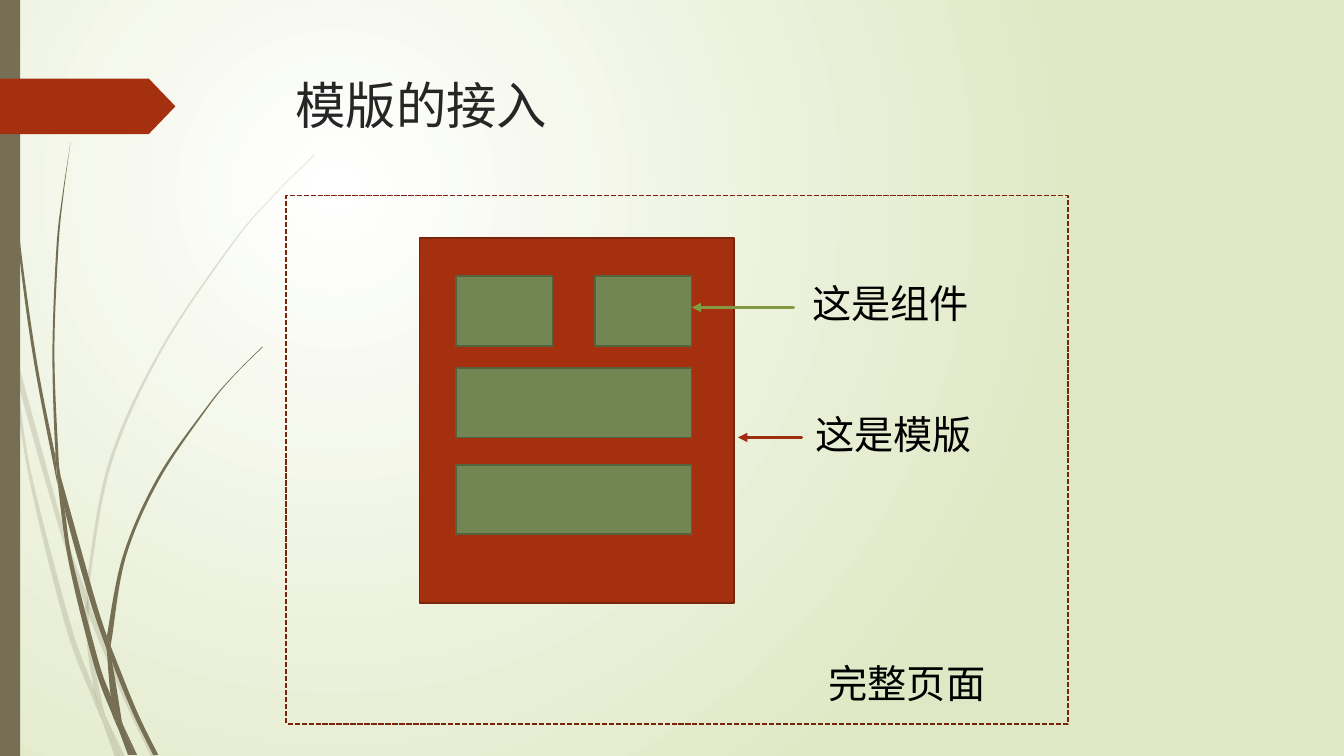
"""Build a slide that shows how a template holds components within a full page."""
from lxml.etree import SubElement
from pptx import Presentation
from pptx.dml.color import RGBColor
from pptx.enum.dml import MSO_LINE
from pptx.enum.shapes import MSO_CONNECTOR, MSO_SHAPE as SHAPE
from pptx.oxml.ns import qn
from pptx.util import Inches, Pt

FONT = "League Spartan"
WHITE = RGBColor(0xFF, 0xFF, 0xFF)
PALE_GREEN = RGBColor(0xDF, 0xE8, 0xC4)
OLIVE = RGBColor(0x76, 0x6F, 0x54)
RED = RGBColor(0xA5, 0x30, 0x10)
DARK_RED = RGBColor(0x7A, 0x24, 0x0C)
ARROW_RED = RGBColor(0x9E, 0x2E, 0x0F)
GREEN = RGBColor(0x72, 0x86, 0x53)
DARK_GREEN = RGBColor(0x54, 0x63, 0x3D)
ARROW_GREEN = RGBColor(0x83, 0x99, 0x43)
BLACK = RGBColor(0, 0, 0)
CHARCOAL = RGBColor(0x26, 0x26, 0x26)

TITLE = ("模版的接入", 2.83, 0.69, 9.75, 1.4)
LABELS = [
    ("这是模版", 7.99, 4.02, 1.92, 0.57),
    ("这是组件", 7.96, 2.72, 1.78, 0.57),
    ("完整页面", 8.12, 6.49, 2.18, 0.57),
]
PAGE = (2.84, 1.94, 7.75, 5.24)
TEMPLATE = (4.16, 2.36, 3.12, 3.62)
COMPONENT_LEFT, COMPONENT_WIDTH, COMPONENT_HEIGHT = 4.52, 2.34, 0.69
SMALL_WIDTH = 0.96
ROWS = [(2.74, 2), (3.65, 1), (4.61, 1)]
ARROWS = [(7.95, 7.32, 4.34, ARROW_RED), (7.87, 6.86, 3.05, ARROW_GREEN)]

PALE_BLADES = [
    ([(0.11, 3.5), (0.09, 3.22), (0, 2.82)], [(0, 2.99), (0.1, 3.44), (0.11, 3.5)]),
    ([(0.14, 3.45), (0.17, 3.76), (0.58, 5.22), (0.84, 5.99)],
     [(0.85, 5.86), (0.62, 5.2), (0.14, 3.45)]),
    ([(0.88, 5.96), (0.88, 6.1), (1.23, 6.94), (1.5, 7.51)],
     [(1.55, 7.51), (1.27, 6.92), (0.92, 6.07), (0.88, 5.96)]),
    ([(1.05, 7.11), (1.19, 7.51)], [(1.24, 7.51), (1.05, 7.11)]),
    ([(0.11, 3.5), (0.28, 4.7), (0.65, 6.21), (0.92, 6.93), (1.01, 7.14)],
     [(0.99, 7.07), (0.93, 6.83), (0.7, 6.19), (0.31, 4.69), (0.17, 3.76), (0.11, 3.5)]),
    ([(0.84, 5.99), (0.87, 6.46), (0.93, 6.83), (0.96, 6.92), (1.05, 7.11)],
     [(1.03, 7.06), (0.91, 6.46), (0.88, 6.1), (0.84, 5.99)]),
    ([(3.12, 1.53), (2.68, 1.97), (2.28, 2.44), (1.58, 3.48), (1.07, 4.61), (0.85, 5.84)],
     [(0.88, 5.96), (0.88, 5.84), (1.1, 4.62), (1.6, 3.49), (2.29, 2.45), (2.68, 1.98),
      (3.12, 1.54)]),
    ([(1.01, 7.14), (1.14, 7.51)], [(1.19, 7.51), (1.01, 7.14)]),
    ([(0.85, 5.86), (0.84, 5.99)], [(0.88, 6.1), (0.88, 5.96), (0.85, 5.86)]),
    ([(0.93, 6.83), (0.99, 7.07), (1.01, 7.14), (1.19, 7.51)],
     [(1.19, 7.51), (1.05, 7.11), (0.96, 6.92), (0.93, 6.83)]),
]
DARK_BLADES = [
    ([(0.03, 0), (0.04, 0.48), (0.07, 1.1), (0.17, 2.33), (0.33, 3.55), (0.57, 4.81)],
     [(0.55, 4.53), (0.36, 3.55), (0.19, 2.32), (0.08, 1.09), (0.05, 0.48), (0.04, 0)]),
    ([(0.6, 4.72), (0.64, 5.05), (0.88, 5.92), (1.06, 6.45)],
     [(1.06, 6.31), (0.93, 5.9), (0.6, 4.72)]),
    ([(1.1, 6.41), (1.11, 6.56), (1.32, 7.08), (1.52, 7.49)],
     [(1.57, 7.49), (1.36, 7.06), (1.13, 6.49), (1.1, 6.41)]),
    ([(0.57, 4.77), (0.68, 5.57), (0.93, 6.59), (1.11, 7.08), (1.17, 7.22)],
     [(1.16, 7.17), (1.1, 6.91), (0.98, 6.57), (0.72, 5.56), (0.64, 5.05), (0.57, 4.77)]),
    ([(0.7, 1.41), (0.62, 1.93), (0.56, 2.45), (0.52, 3.49), (0.55, 4.49), (0.6, 4.72)],
     [(0.6, 4.72), (0.58, 4.53), (0.54, 3.49), (0.58, 2.45), (0.63, 1.93), (0.7, 1.41)]),
    ([(1.22, 7.19), (1.33, 7.49)], [(1.36, 7.49), (1.22, 7.19)]),
    ([(0.55, 4.49), (0.55, 4.53), (0.57, 4.77)], [(0.64, 5.05), (0.6, 4.72), (0.55, 4.49)]),
    ([(2.6, 3.44), (2.31, 3.73), (2.04, 4.05), (1.56, 4.74), (1.22, 5.51), (1.06, 6.31)],
     [(1.1, 6.41), (1.11, 6.33), (1.25, 5.52), (1.58, 4.76), (2.05, 4.06), (2.31, 3.74),
      (2.61, 3.44)]),
    ([(1.17, 7.22), (1.27, 7.49)], [(1.31, 7.49), (1.17, 7.22)]),
    ([(1.06, 6.45), (1.1, 6.91), (1.16, 7.06), (1.22, 7.19)],
     [(1.21, 7.16), (1.11, 6.56), (1.06, 6.45)]),
    ([(1.06, 6.31), (1.06, 6.45), (1.11, 6.56)], [(1.1, 6.41), (1.06, 6.31)]),
    ([(1.1, 6.91), (1.16, 7.17), (1.17, 7.22), (1.3, 7.49)],
     [(1.33, 7.49), (1.22, 7.19), (1.16, 7.06), (1.1, 6.91)]),
]


def shift(point, start, end):
    return tuple(p + (b - a) / 6 for p, a, b in zip(point, start, end))


def curve_points(side):
    ends = [side[0], *side, side[-1]]
    points = []
    for a, b, c, d in zip(ends, ends[1:], ends[2:], ends[3:]):
        points += [shift(b, a, c), shift(c, d, b), c]
    return points


def paint(sp, fill=None, line=None, dash=None):
    sp.shadow.inherit = False
    if fill is None:
        sp.fill.background()
    else:
        sp.fill.solid()
        sp.fill.fore_color.rgb = fill
    if line is None:
        sp.line.fill.background()
    else:
        sp.line.color.rgb = line
        sp.line.width = Pt(1.25)
        if dash:
            sp.line.dash_style = dash
    return sp


def add_box(s, box, kind=SHAPE.RECTANGLE, **look):
    return paint(s.shapes.add_shape(kind, *map(Inches, box)), **look)


def add_blade(s, out, back, alpha=None):
    outline = [out[0], *curve_points(out), out[-1], back[0], back[0], *curve_points(back)]
    points = [(Inches(x), Inches(y)) for x, y in outline]
    builder = s.shapes.build_freeform(*points[0])
    builder.add_line_segments(points[1:], close=True)
    sp = paint(builder.convert_to_shape(), fill=OLIVE)
    lines = list(sp._element.iter(qn("a:lnTo")))
    for first, second, third in zip(lines[::3], lines[1::3], lines[2::3]):
        first.tag = qn("a:cubicBezTo")
        for line in (second, third):
            first.append(line[0])
            line.getparent().remove(line)
    if alpha:
        color = sp._element.spPr.find(qn("a:solidFill"))[0]
        SubElement(color, qn("a:alpha"), val=str(alpha * 1000))


def add_text(s, text, *box, size=28, color=BLACK):
    tf = s.shapes.add_textbox(*map(Inches, box)).text_frame
    tf.word_wrap = True
    r = tf.paragraphs[0].add_run()
    r.text = text
    r.font.name, r.font.size, r.font.color.rgb = FONT, Pt(size), color


def add_arrow(s, start_x, end_x, y, color):
    arrow = s.shapes.add_connector(
        MSO_CONNECTOR.STRAIGHT, Inches(start_x), Inches(y), Inches(end_x), Inches(y))
    arrow.line.color.rgb = color
    arrow.line.width = Pt(2.25)
    ln = arrow.line._get_or_add_ln()
    ln.set("cap", "rnd")
    SubElement(ln, qn("a:tailEnd"), type="triangle")
    SubElement(arrow._element.spPr, qn("a:effectLst"))


def set_background(s):
    fill = s.background.fill
    fill.gradient()
    for stop, color in zip(fill.gradient_stops, (WHITE, PALE_GREEN)):
        stop.color.rgb = color
    grad = next(s._element.iter(qn("a:gradFill")))
    grad.remove(grad.find(qn("a:lin")))
    circle = SubElement(grad, qn("a:path"), {"path": "circle"})
    SubElement(circle, qn("a:fillToRect"), l="50000", t="50000", r="100000", b="100000")


def main():
    prs = Presentation()
    prs.slide_width, prs.slide_height = Inches(13.33), Inches(7.5)
    s = prs.slides.add_slide(prs.slide_layouts[6])
    set_background(s)
    for blades, alpha in ((PALE_BLADES, 20), (DARK_BLADES, None)):
        for out, back in blades:
            add_blade(s, out, back, alpha)
    add_box(s, (0, 0, 0.2, 7.5), fill=OLIVE)
    banner = add_box(s, (0, 0.78, 1.74, 0.55), SHAPE.PENTAGON, fill=RED)
    banner.adjustments[0] = 0.48
    add_text(s, *TITLE, size=36, color=CHARCOAL)
    add_box(s, TEMPLATE, fill=RED, line=DARK_RED)
    for top, count in ROWS:
        width = COMPONENT_WIDTH if count == 1 else SMALL_WIDTH
        for i in range(count):
            left = COMPONENT_LEFT + i * (COMPONENT_WIDTH - width)
            add_box(s, (left, top, width, COMPONENT_HEIGHT), fill=GREEN, line=DARK_GREEN)
    for arrow in ARROWS:
        add_arrow(s, *arrow)
    add_box(s, PAGE, line=DARK_RED, dash=MSO_LINE.SQUARE_DOT)
    for label in LABELS:
        add_text(s, *label)
    prs.save("out.pptx")


if __name__ == "__main__":
    main()
